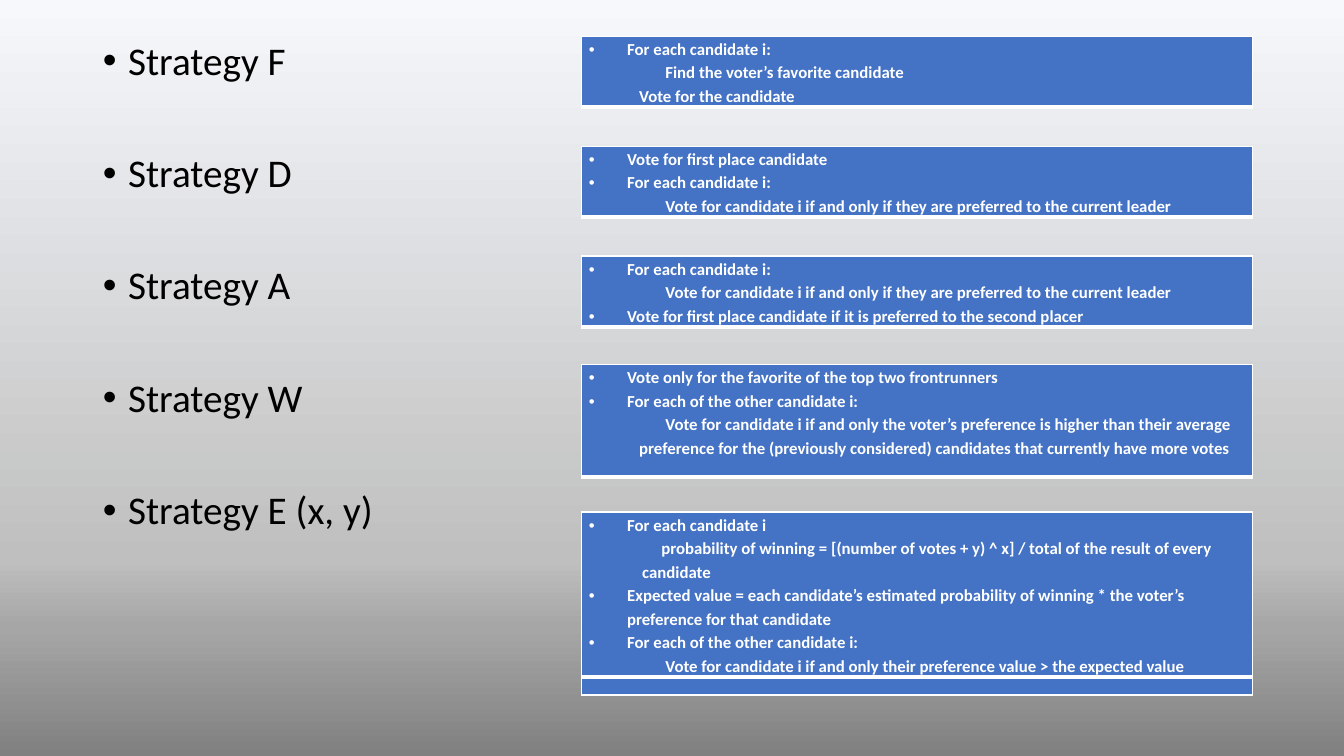
from lxml import etree
from pptx import Presentation
from pptx.dml.color import RGBColor
from pptx.enum.text import MSO_ANCHOR, MSO_AUTO_SIZE, PP_ALIGN
from pptx.oxml.ns import qn
from pptx.util import Inches, Pt

TOP = MSO_ANCHOR.TOP
NO_FIT = MSO_AUTO_SIZE.NONE
LEFT = PP_ALIGN.LEFT
FONT = "Calibri"
COLORS = {"ink": "000000", "panel": "4472C4", "light": "FFFFFF"}
BACKDROP = [(0, "F6F8FC"), (74, "BFBFBF"), (83, "A6A6A6"), (100, "808080")]

INDENTS = {
    "bullet": {"margin": 0.38, "indent": -0.38, "bullet": True},
    "step": {"margin": 0.5, "indent": 0.26},
    "plain": {"margin": 0.5},
    "formula": {"margin": 0.53, "indent": 0.19},
}
STRATEGIES = ["Strategy F", "Strategy D", "Strategy A", "Strategy W", "Strategy E (x, y)"]
PREFERRED = "Vote for candidate i if and only if they are preferred to the current leader"
RULES = [
    (0.36, [0.68], [
        ("bullet", "For each candidate i:"),
        ("step", "Find the voter’s favorite candidate"),
        ("plain", "Vote for the candidate"),
    ]),
    (1.45, [0.68], [
        ("bullet", "Vote for first place candidate"),
        ("bullet", "For each candidate i:"),
        ("step", PREFERRED),
    ]),
    (2.54, [0.68], [
        ("bullet", "For each candidate i:"),
        ("step", PREFERRED),
        ("bullet", "Vote for first place candidate if it is preferred to the second placer"),
    ]),
    (3.62, [1.11], [
        ("bullet", "Vote only for the favorite of the top two frontrunners"),
        ("bullet", "For each of the other candidate i:"),
        ("step", "Vote for candidate i if and only the voter’s preference is higher than "
                 "their average preference for the (previously considered) candidates "
                 "that currently have more votes"),
    ]),
    (5.08, [1.63, 0.18], [
        ("bullet", "For each candidate i"),
        ("formula", "probability of winning = [(number of votes + y) ^ x] / "
                    "total of the result of every candidate"),
        ("bullet", "Expected value = each candidate’s estimated probability of winning * "
                   "the voter’s preference for that candidate"),
        ("bullet", "For each of the other candidate i:"),
        ("step", "Vote for candidate i if and only their preference value > the expected value"),
    ]),
]


def add_color(parent, color):
    etree.SubElement(parent, qn("a:srgbClr"), val=color)


def write_para(para, text, size, color, bold=False, margin=0, indent=0,
               bullet=False, line=1.0, before=0):
    para.alignment = LEFT
    para.line_spacing = line
    para.space_before = Pt(before)
    para.space_after = Pt(0)
    props = para._p.get_or_add_pPr()
    props.set("marL", str(Inches(margin)))
    props.set("indent", str(Inches(indent)))
    if bullet:
        etree.SubElement(props, qn("a:buFont"), typeface="Arial")
        etree.SubElement(props, qn("a:buChar"), char="•")
    else:
        etree.SubElement(props, qn("a:buNone"))
    span = para.add_run()
    span.text = text
    span.font.name = FONT
    span.font.size = Pt(size)
    span.font.bold = bold
    span.font.color.rgb = RGBColor.from_string(color)


def paint_background(page):
    fill = page.background.fill
    fill.gradient()
    fill.gradient_angle = 270
    stops = page._element.find(".//" + qn("a:gsLst"))
    for stop in list(stops):
        stops.remove(stop)
    for percent, color in BACKDROP:
        add_color(etree.SubElement(stops, qn("a:gs"), pos=str(percent * 1000)), color)


def fill_strategies(body, left, top, width, height):
    body.left, body.top = Inches(left), Inches(top)
    body.width, body.height = Inches(width), Inches(height)
    frame = body.text_frame
    frame.auto_size = NO_FIT
    frame.vertical_anchor = TOP
    for index, name in enumerate(STRATEGIES):
        para = frame.add_paragraph() if index else frame.paragraphs[0]
        write_para(para, name, 28, COLORS["ink"], margin=0.25, indent=-0.25,
                   bullet=True, line=0.9, before=50 if index else 0)


def style_cell(cell, bottom):
    cell.margin_left = cell.margin_right = Inches(0.07)
    cell.margin_top = cell.margin_bottom = 0
    cell.vertical_anchor = TOP
    props = cell._tc.get_or_add_tcPr()
    for side, points in (("L", 1), ("R", 1), ("T", 1), ("B", bottom)):
        edge = etree.SubElement(props, qn("a:ln" + side), w=str(Pt(points)))
        add_color(etree.SubElement(edge, qn("a:solidFill")), COLORS["light"])
    cell.fill.solid()
    cell.fill.fore_color.rgb = RGBColor.from_string(COLORS["panel"])


def add_rules(page, left, top, width, heights, lines):
    table = page.shapes.add_table(len(heights), 1, Inches(left), Inches(top),
                                  Inches(width), Inches(sum(heights))).table
    table.first_row = table.horz_banding = False
    for index, height in enumerate(heights):
        table.rows[index].height = Inches(height)
        cell = table.cell(index, 0)
        style_cell(cell, 1 if index else 3)
        if index:
            etree.SubElement(cell.text_frame.paragraphs[0]._p, qn("a:endParaRPr"), sz="1000")
    frame = table.cell(0, 0).text_frame
    for index, (kind, text) in enumerate(lines):
        para = frame.add_paragraph() if index else frame.paragraphs[0]
        write_para(para, text, 12, COLORS["light"], bold=True, line=1.15, **INDENTS[kind])


def main():
    deck = Presentation()
    deck.slide_width, deck.slide_height = Inches(13.33), Inches(7.5)
    page = deck.slides.add_slide(deck.slide_layouts[1])
    title = page.shapes.title._element
    title.getparent().remove(title)
    paint_background(page)
    fill_strategies(page.placeholders[1], 0.92, 0.36, 11.5, 6.39)
    for top, heights, lines in RULES:
        add_rules(page, 5.77, top, 6.65, heights, lines)
    deck.save("out.pptx")


if __name__ == "__main__":
    main()
